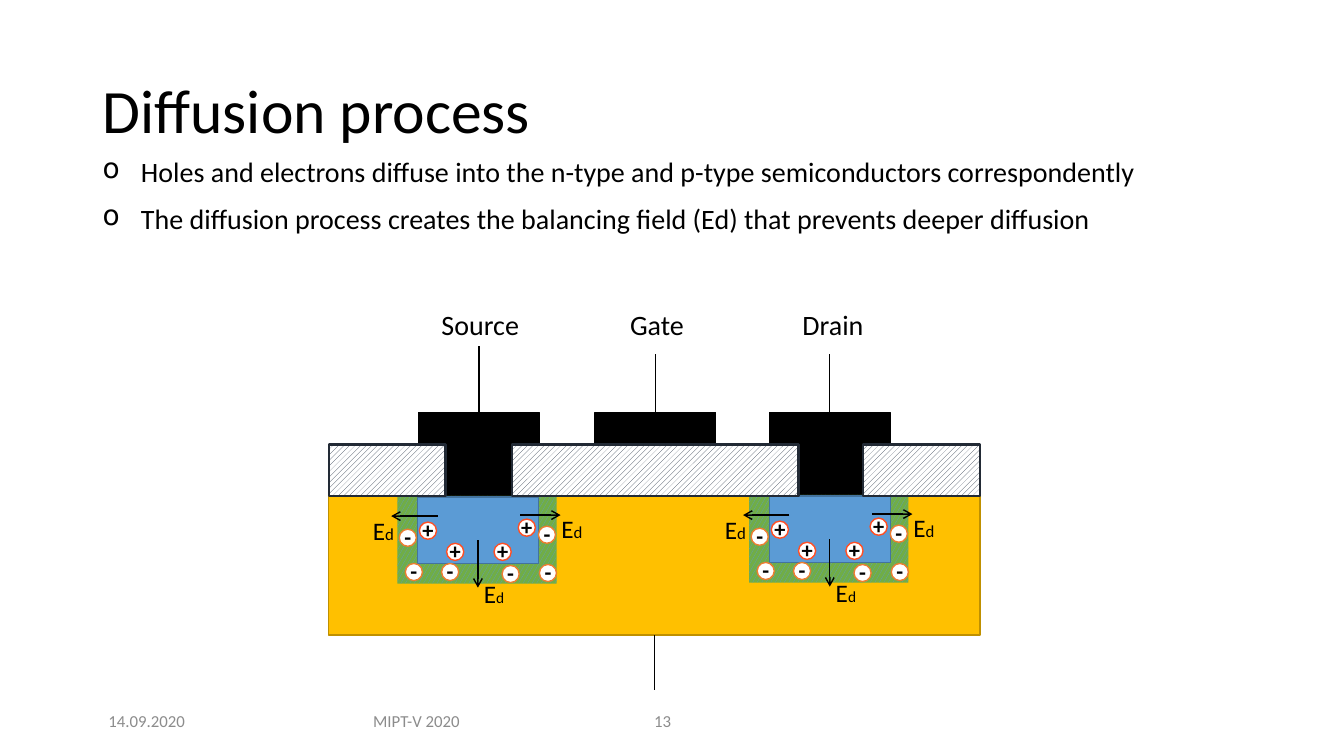
import pptx
import pptx.util
import pptx.dml.color
import pptx.enum.dml
import pptx.enum.shapes
import pptx.enum.text
import pptx.oxml.ns
from lxml import etree
from pptx.util import Inches

SHAPES = pptx.enum.shapes.MSO_SHAPE
PATTERNS = pptx.enum.dml.MSO_PATTERN
ALIGN = pptx.enum.text.PP_ALIGN
ANCHOR = pptx.enum.text.MSO_ANCHOR
FONT = "Calibri"
BLACK = "000000"
GREY = "8C8C8C"

# Wells: origin of each doped region; its parts are placed relative to it
WELL_ORIGINS = [(3.94, 4.92), (7.43, 4.91)]
HOLES = [(0.22, 0.26), (0.49, 0.47), (0.96, 0.47), (1.2, 0.23)]
ELECTRONS = [(0.02, 0.33), (0.08, 0.67), (0.44, 0.67),
             (1.04, 0.69), (1.4, 0.3), (1.41, 0.68)]
FIELD_ARROWS = [((0.8, 0.44), (0.8, 0.91)),
                ((0.4, 0.2), (-0.06, 0.2)),
                ((1.22, 0.19), (1.62, 0.19))]
FIELD_LABELS = [(1.53, 0.12, 0.43, 12), (0.76, 0.77, 0.41, 11), (-0.34, 0.14, 0.43, 12)]

# Electrodes: name, electrode left, lead top, label left, label width
ELECTRODES = [("Source", 4.15, 3.43, 4.28, 0.97),
              ("Gate", 5.9, 3.51, 6.15, 0.75),
              ("Drain", 7.63, 3.51, 7.86, 0.82)]
INSULATORS = [(3.26, 1.16), (5.08, 2.84), (8.56, 1.16)]
FOOTERS = [("14.09.2020", 0.92, 1.07, ALIGN.CENTER),
           ("MIPT-V 2020", 3.34, 1.58, ALIGN.CENTER),
           ("13", 6.39, 0.79, ALIGN.LEFT)]
BULLETS = [("Holes and electrons diffuse into the n-type and p-type semiconductors correspondently", 10),
           ("The diffusion process creates the balancing field (Ed) that prevents deeper diffusion", 12)]


def color(hex_string):
    return pptx.dml.color.RGBColor.from_string(hex_string)


def format_run(run, size, hex_string=BLACK, bold=False):
    run.font.name = FONT
    run.font.size = pptx.util.Pt(size)
    run.font.bold = bold
    run.font.color.rgb = color(hex_string)


def add_box(slide, left, top, width, height, fill, line=None, line_width=1,
            pattern=None, kind=SHAPES.RECTANGLE):
    """Add a shape; with a pattern, fill is (foreground, background)."""
    shape = slide.shapes.add_shape(kind, Inches(left), Inches(top), Inches(width), Inches(height))
    shape.shadow.inherit = False
    if pattern is None:
        shape.fill.solid()
        shape.fill.fore_color.rgb = color(fill)
    else:
        shape.fill.patterned()
        shape.fill.pattern = pattern
        shape.fill.fore_color.rgb, shape.fill.back_color.rgb = map(color, fill)
    if line is None:
        shape.line.fill.background()
    else:
        shape.line.color.rgb = color(line)
        shape.line.width = pptx.util.Pt(line_width)
    return shape


def add_text(slide, text, left, top, width, height, size, hex_string=BLACK,
             align=ALIGN.LEFT, anchor=ANCHOR.TOP, wrap=True):
    box = slide.shapes.add_textbox(Inches(left), Inches(top), Inches(width), Inches(height))
    frame = box.text_frame
    frame.word_wrap = wrap
    frame.vertical_anchor = anchor
    if not wrap:
        frame.auto_size = pptx.enum.text.MSO_AUTO_SIZE.SHAPE_TO_FIT_TEXT
    frame.text = text
    for paragraph in frame.paragraphs:
        paragraph.alignment = align
        for run in paragraph.runs:
            format_run(run, size, hex_string)
    return frame


def add_line(slide, start, end, arrow=False):
    connector = slide.shapes.add_connector(
        pptx.enum.shapes.MSO_CONNECTOR.STRAIGHT, *map(Inches, start + end))
    connector.line.color.rgb = color(BLACK)
    connector.line.width = pptx.util.Pt(1)
    if arrow:
        line = connector.line._get_or_add_ln()
        etree.SubElement(line, pptx.oxml.ns.qn("a:tailEnd"), type="arrow")
    etree.SubElement(connector._element.spPr, pptx.oxml.ns.qn("a:effectLst"))
    return connector


def add_bullets(slide):
    text = "\n".join(sentence for sentence, _ in BULLETS)
    frame = add_text(slide, text, 0.92, 1.52, 11.16, 1.19, 20)
    for paragraph, (_, space) in zip(frame.paragraphs, BULLETS):
        paragraph.line_spacing = 0.9
        paragraph.space_before = pptx.util.Pt(space)
        properties = paragraph._p.get_or_add_pPr()
        properties.set("marL", str(Inches(0.38)))
        properties.set("indent", str(Inches(-0.38)))
        etree.SubElement(properties, pptx.oxml.ns.qn("a:buChar"), char="o")


def add_charge(slide, sign, left, top, line, bottom_inset):
    shape = add_box(slide, left, top, 0.17, 0.17, "FFFFFF", line, kind=SHAPES.OVAL)
    frame = shape.text_frame
    frame.margin_left = frame.margin_right = frame.margin_top = 0
    frame.margin_bottom = Inches(bottom_inset)
    frame.word_wrap = False
    frame.vertical_anchor = ANCHOR.MIDDLE
    frame.text = sign
    frame.paragraphs[0].alignment = ALIGN.CENTER
    format_run(frame.paragraphs[0].runs[0], 16, bold=True)


def add_field_label(slide, left, top, width, subscript_size):
    frame = add_text(slide, "E", left, top, width, 0.4, 18, wrap=False)
    subscript = frame.paragraphs[0].add_run()
    subscript.text = "d"
    format_run(subscript, subscript_size)


def add_well(slide, x, y):
    # Depletion layer around the doped region
    add_box(slide, x, y, 1.58, 0.87, ("5B9BD5", "70AD47"), pattern=PATTERNS.LARGE_CONFETTI)
    add_box(slide, x + 0.2, y + 0.01, 1.2, 0.66, "5B9BD5", "43739E")
    # Diffused charges
    for left, top in HOLES:
        add_charge(slide, "+", x + left, y + top, "FF4F25", 0.02)
    for left, top in ELECTRONS:
        add_charge(slide, "-", x + left, y + top, "ED7D31", 0.03)
    # Balancing field
    for start, end in FIELD_ARROWS:
        add_line(slide, (x + start[0], y + start[1]), (x + end[0], y + end[1]), arrow=True)
    for left, top, width, subscript_size in FIELD_LABELS:
        add_field_label(slide, x + left, y + top, width, subscript_size)


def add_transistor(slide):
    # Substrate with its contact
    substrate = add_box(slide, 3.26, 4.91, 6.46, 1.39, "FFC000", "BF9000")
    contact = add_line(slide, (6.49, 6.3), (6.49, 6.85))
    contact.begin_connect(substrate, 2)
    # Electrodes with leads and names
    for name, left, lead_top, label_left, label_width in ELECTRODES:
        electrode = add_box(slide, left, 4.09, 1.2, 0.82, BLACK, BLACK)
        center = left + 0.6
        lead = add_line(slide, (center, 4.09), (center, lead_top))
        lead.begin_connect(electrode, 0)
        add_text(slide, name, label_left, 3, label_width, 0.44, 20, wrap=False)
    for x, y in WELL_ORIGINS:
        add_well(slide, x, y)
    # Insulating layer
    for left, width in INSULATORS:
        add_box(slide, left, 4.41, width, 0.51, ("333F50", "FFFFFF"), "222A35", 1.5,
                PATTERNS.WIDE_UPWARD_DIAGONAL)


def main():
    presentation = pptx.Presentation()
    presentation.slide_width = Inches(13.33)
    presentation.slide_height = Inches(7.5)
    slide = presentation.slides.add_slide(presentation.slide_layouts[6])

    # Heading and statements
    title = add_text(slide, "Diffusion process", 0.92, 0.4, 11.5, 1.45, 44, anchor=ANCHOR.MIDDLE)
    title.paragraphs[0].line_spacing = 0.9
    add_bullets(slide)

    add_transistor(slide)

    # Footer
    for text, left, width, align in FOOTERS:
        add_text(slide, text, left, 6.95, width, 0.4, 12, GREY, align, ANCHOR.MIDDLE)

    presentation.save("out.pptx")


if __name__ == "__main__":
    main()
